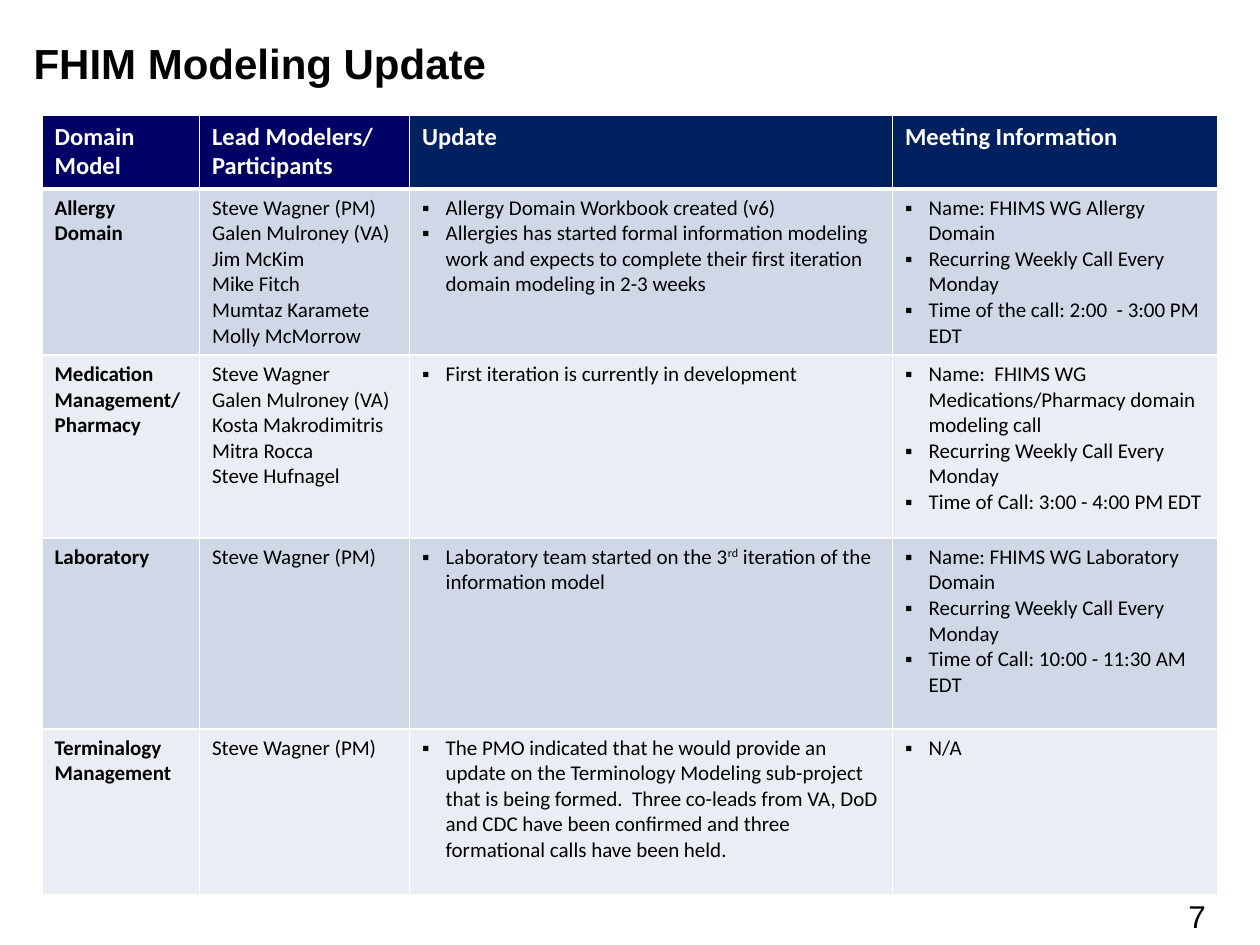
from lxml import etree
from pptx import Presentation
from pptx.dml.color import RGBColor
from pptx.enum.text import MSO_ANCHOR, PP_ALIGN
from pptx.oxml.ns import qn
from pptx.util import Pt

BLACK = RGBColor(0x00, 0x00, 0x00)
WHITE = RGBColor(0xFF, 0xFF, 0xFF)
INDIGO = RGBColor(0x00, 0x00, 0x66)
NAVY = RGBColor(0x00, 0x20, 0x60)
BAND_DARK = RGBColor(0xD0, 0xD8, 0xE8)
BAND_LIGHT = RGBColor(0xE9, 0xED, 0xF4)

WEEKLY_CALL = "Recurring Weekly Call Every Monday"
HEADINGS = ["Domain Model", "Lead Modelers/ Participants", "Update", "Meeting Information"]
DOMAINS = [
    [
        ["Allergy Domain"],
        ["Steve Wagner (PM)", "Galen Mulroney (VA)", "Jim McKim", "Mike Fitch",
         "Mumtaz Karamete", "Molly McMorrow"],
        ["Allergy Domain Workbook created (v6)",
         "Allergies has started formal information modeling work and expects to "
         "complete their first iteration  domain modeling in 2-3 weeks"],
        ["Name: FHIMS WG Allergy Domain", WEEKLY_CALL,
         "Time of the call: 2:00  - 3:00 PM EDT"],
    ],
    [
        ["Medication Management/", "Pharmacy"],
        ["Steve Wagner", "Galen Mulroney (VA)", "Kosta Makrodimitris", "Mitra Rocca",
         "Steve Hufnagel"],
        ["First iteration is currently in development"],
        ["Name:  FHIMS WG Medications/Pharmacy domain modeling call", WEEKLY_CALL,
         "Time of Call: 3:00 - 4:00 PM EDT"],
    ],
    [
        ["Laboratory"],
        ["Steve Wagner (PM)"],
        ["Laboratory team started on the 3^rd^ iteration of the information model"],
        ["Name: FHIMS WG Laboratory Domain", WEEKLY_CALL,
         "Time of Call: 10:00 - 11:30 AM EDT"],
    ],
    [
        ["Terminalogy", "Management"],
        ["Steve Wagner (PM)"],
        ["The PMO indicated that he would provide an update on the Terminology Modeling "
         "sub-project that is being formed.  Three co-leads from VA, DoD and CDC have been "
         "confirmed and three formational calls have been held."],
        ["N/A"],
    ],
]
COLUMN_WIDTHS = [90, 120, 276, 186]
ROW_HEIGHTS = [42, 95, 104.5, 109, 95]
TABLE_TOP = 66


def add_run(paragraph, text, font, size, color, bold=False):
    run = paragraph.add_run()
    run.text = text
    run.font.name = font
    run.font.size = Pt(size)
    run.font.color.rgb = color
    run.font.bold = bold
    return run


def style_cell(cell, fill, top_width, bottom_width):
    properties = cell._tc.get_or_add_tcPr()
    widths = {"a:lnL": 1, "a:lnR": 1, "a:lnT": top_width, "a:lnB": bottom_width}
    for side, width in widths.items():
        border = etree.SubElement(properties, qn(side), w=str(Pt(width)))
        paint = etree.SubElement(border, qn("a:solidFill"))
        etree.SubElement(paint, qn("a:srgbClr"), val=str(WHITE))
    cell.fill.solid()
    cell.fill.fore_color.rgb = fill


prs = Presentation()
prs.slide_width = Pt(720)
prs.slide_height = Pt(540)
slide = prs.slides.add_slide(prs.slide_layouts[5])

title = slide.shapes.title
title.left, title.top, title.width, title.height = Pt(12), Pt(18), Pt(696), Pt(36)
title.text_frame.vertical_anchor = MSO_ANCHOR.MIDDLE
heading = title.text_frame.paragraphs[0]
heading.alignment = PP_ALIGN.LEFT
add_run(heading, "FHIM Modeling Update", "Arial", 24, BLACK, True)

table_bottom = TABLE_TOP + sum(ROW_HEIGHTS)
page_number = slide.shapes.add_textbox(Pt(672), Pt(table_bottom), Pt(36), Pt(24)).text_frame
page_number.word_wrap = True
page_number.margin_top = page_number.margin_bottom = Pt(1)
add_run(page_number.paragraphs[0], "7", "Arial", 18, BLACK)

table = slide.shapes.add_table(
    len(ROW_HEIGHTS), len(COLUMN_WIDTHS),
    Pt(24), Pt(TABLE_TOP), Pt(sum(COLUMN_WIDTHS)), Pt(sum(ROW_HEIGHTS)),
).table
for column, width in zip(table.columns, COLUMN_WIDTHS):
    column.width = Pt(width)
for row, height in zip(table.rows, ROW_HEIGHTS):
    row.height = Pt(height)

for column, label in enumerate(HEADINGS):
    cell = table.cell(0, column)
    style_cell(cell, INDIGO if column < 2 else NAVY, 1, 3)
    add_run(cell.text_frame.paragraphs[0], label, "Calibri", 14, WHITE, True)

for row, domain in enumerate(DOMAINS, start=1):
    for column, lines in enumerate(domain):
        cell = table.cell(row, column)
        style_cell(cell, BAND_DARK if row % 2 else BAND_LIGHT, 3 if row == 1 else 1, 1)
        for index, line in enumerate(lines):
            frame = cell.text_frame
            paragraph = frame.add_paragraph() if index else frame.paragraphs[0]
            if column >= 2:
                bullet = paragraph._p.get_or_add_pPr()
                bullet.set("marL", str(Pt(13.5)))
                bullet.set("indent", str(-Pt(13.5)))
                etree.SubElement(bullet, qn("a:buFont"), typeface="Arial")
                etree.SubElement(bullet, qn("a:buChar"), char="▪")
            for part, text in enumerate(line.split("^")):
                run = add_run(paragraph, text, "Calibri", 12, BLACK, column == 0)
                if part % 2:
                    run._r.get_or_add_rPr().set("baseline", "30000")

prs.save("out.pptx")
